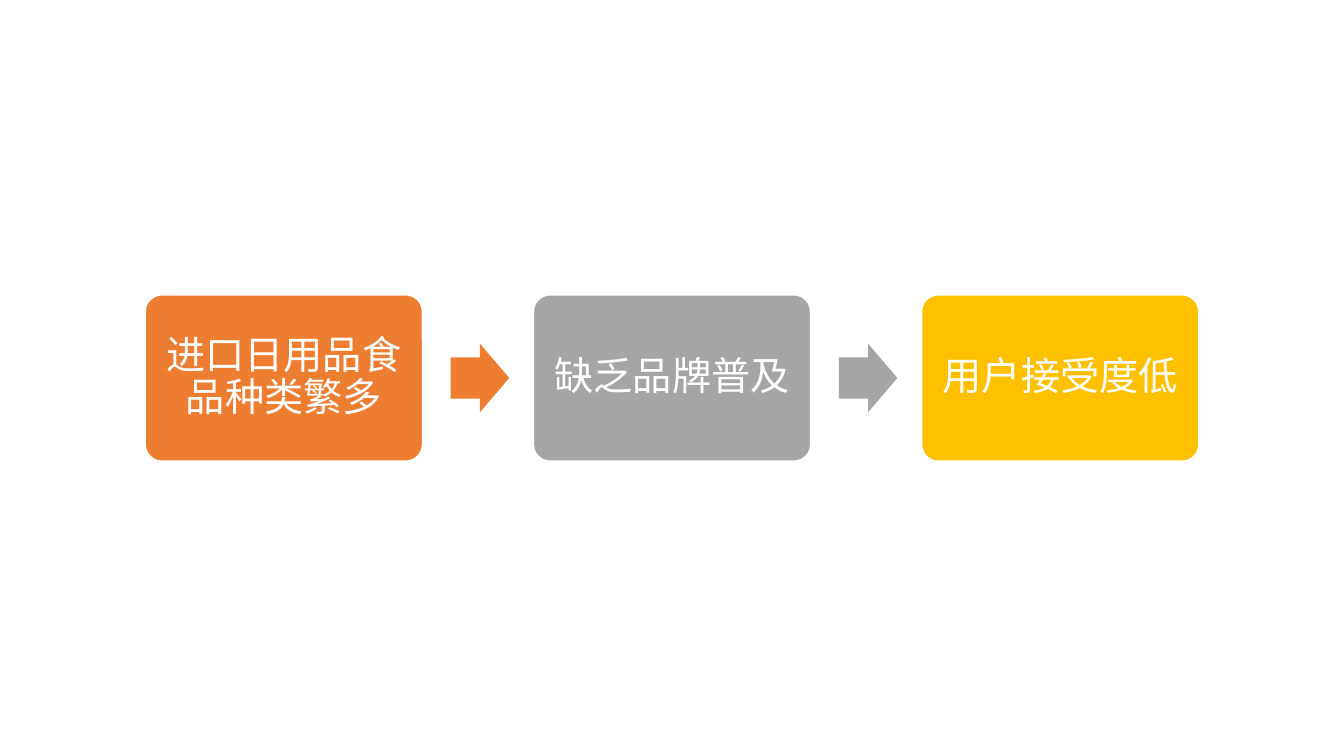
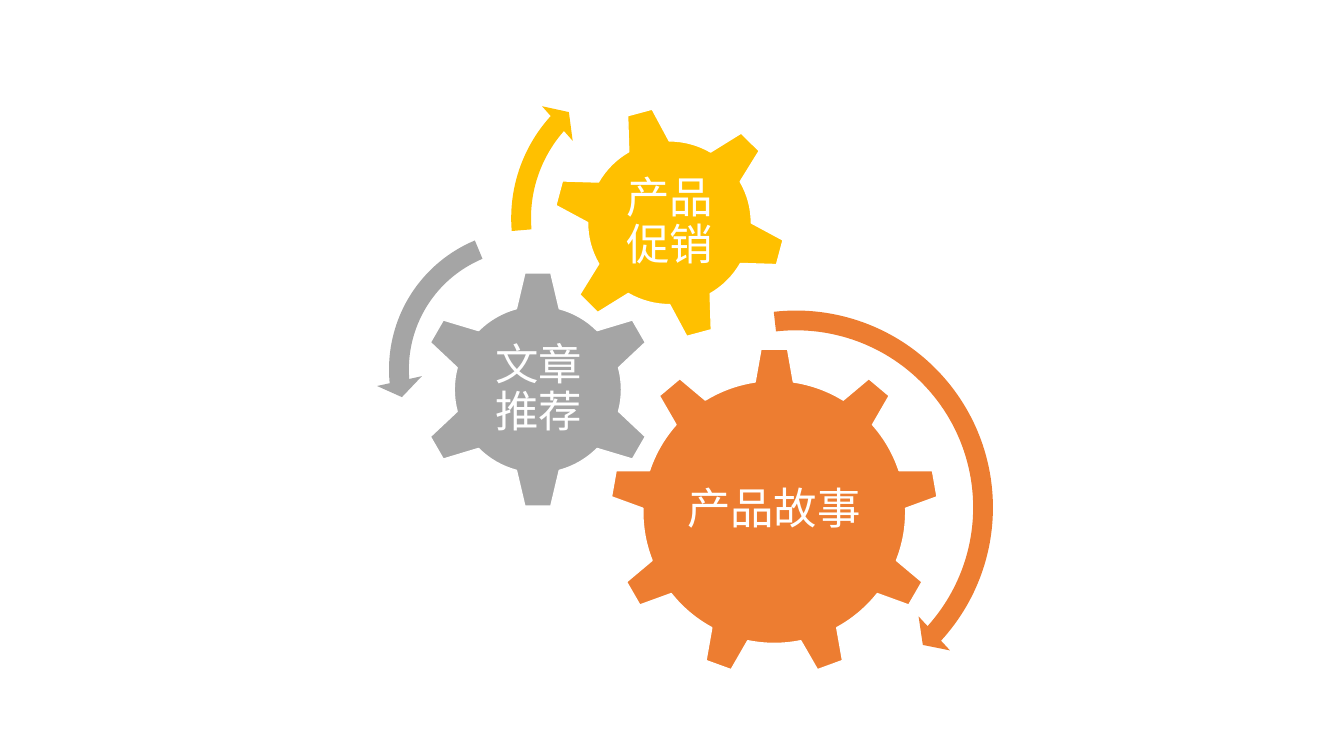
"""Builds a two-slide deck: a three-step flow and a set of three gears."""
from lxml import etree
from pptx import Presentation
from pptx.dml.color import RGBColor
from pptx.enum.shapes import MSO_SHAPE
from pptx.enum.text import MSO_ANCHOR, PP_ALIGN
from pptx.oxml.ns import qn
from pptx.util import Inches, Pt

ROUNDED = MSO_SHAPE.ROUNDED_RECTANGLE
RIGHT_ARROW = MSO_SHAPE.RIGHT_ARROW
GEAR_6, GEAR_9 = MSO_SHAPE.GEAR_6, MSO_SHAPE.GEAR_9
CLOCKWISE = MSO_SHAPE.CIRCULAR_ARROW
COUNTERCLOCKWISE = MSO_SHAPE.LEFT_CIRCULAR_ARROW
MIDDLE, CENTER = MSO_ANCHOR.MIDDLE, PP_ALIGN.CENTER

FONT = "Noto Sans CJK SC"
COLORS = {"orange": "ED7D31", "gray": "A5A5A5", "gold": "FFC000", "white": "FFFFFF"}
BLANK_LAYOUT = 6

STEPS = [
    ("进口日用品食品种类繁多", "orange"),
    ("缺乏品牌普及", "gray"),
    ("用户接受度低", "gold"),
]
STEP_LEFT, STEP_PITCH = 1.44, 3.85
STEP_WIDTH, STEP_HEIGHT = 2.75, 1.65
ARROW_WIDTH, ARROW_HEIGHT, ARROW_GAP = 0.58, 0.68, 0.28
FLOW_MIDDLE = 3.75

GEARS = [
    {"text": "产品故事", "color": "orange", "kind": GEAR_9, "rotation": 0,
     "box": (6.05, 3.45, 3.26, 3.26), "label": (6.7, 4.22, 1.95, 1.68)},
    {"text": "文章推荐", "color": "gray", "kind": GEAR_6, "rotation": 0,
     "box": (4.15, 2.68, 2.37, 2.37), "label": (4.75, 3.28, 1.18, 1.17)},
    {"text": "产品促销", "color": "gold", "kind": GEAR_6, "rotation": 345,
     "box": (5.48, 1.05, 2.32, 2.32), "label": (5.99, 1.56, 1.3, 1.3)},
]
TURNS = [
    {"color": "orange", "kind": CLOCKWISE, "box": (5.81, 2.95, 4.17, 4.17),
     "adjustments": (0.047, 2.99, 25.393, 158.123, 0.055)},
    {"color": "gray", "kind": COUNTERCLOCKWISE, "box": (3.73, 2.15, 3.03, 3.03),
     "adjustments": (0.065, 4.3, 104.891, 148.378, 0.075)},
    {"color": "gold", "kind": CLOCKWISE, "box": (4.94, 0.53, 3.27, 3.27),
     "adjustments": (0.06, 3.941, 133.138, 105.082, 0.07)},
]


def rgb(color):
    return RGBColor.from_string(COLORS[color])


def write_text(shape, text, *, size, inset, color="white"):
    frame = shape.text_frame
    frame.word_wrap = True
    frame.vertical_anchor = MIDDLE
    frame.margin_left = frame.margin_right = Inches(inset)
    frame.margin_top = frame.margin_bottom = Inches(inset)
    paragraph = frame.paragraphs[0]
    paragraph.alignment = CENTER
    paragraph.line_spacing = 0.9
    run = paragraph.add_run()
    run.text = text
    run.font.size = Pt(size)
    run.font.color.rgb = rgb(color)
    run.font.name = FONT
    east_asian = etree.Element(qn("a:ea"), typeface=FONT)
    run.font._element.find(qn("a:latin")).addnext(east_asian)


def add_figure(slide, kind, box, color, *, adjustments=(), outlined=False, rotation=0):
    shape = slide.shapes.add_shape(kind, *map(Inches, box))
    shape.shadow.inherit = False
    shape.rotation = rotation
    shape.fill.solid()
    shape.fill.fore_color.rgb = rgb(color)
    if outlined:
        shape.line.color.rgb = rgb("white")
        shape.line.width = Pt(1)
    else:
        shape.line.fill.background()
    for index, value in enumerate(adjustments):
        shape.adjustments[index] = value
    return shape


def build_flow(slide):
    for index, (text, color) in enumerate(STEPS):
        left = STEP_LEFT + index * STEP_PITCH
        box = (left, FLOW_MIDDLE - STEP_HEIGHT / 2, STEP_WIDTH, STEP_HEIGHT)
        step = add_figure(slide, ROUNDED, box, color, adjustments=(0.1,), outlined=True)
        write_text(step, text, size=28, inset=0.12)
        if index < len(STEPS) - 1:
            arrow_box = (left + STEP_WIDTH + ARROW_GAP, FLOW_MIDDLE - ARROW_HEIGHT / 2,
                         ARROW_WIDTH, ARROW_HEIGHT)
            add_figure(slide, RIGHT_ARROW, arrow_box, color, adjustments=(0.6, 0.5))


def build_gears(slide):
    for gear in GEARS:
        add_figure(slide, gear["kind"], gear["box"], gear["color"],
                   outlined=True, rotation=gear["rotation"])
        label = slide.shapes.add_textbox(*map(Inches, gear["label"]))
        write_text(label, gear["text"], size=31, inset=0.04)
    for turn in TURNS:
        add_figure(slide, turn["kind"], turn["box"], turn["color"],
                   adjustments=turn["adjustments"])


def main():
    presentation = Presentation()
    presentation.slide_width = Inches(13.33)
    presentation.slide_height = Inches(7.5)
    for build in (build_flow, build_gears):
        build(presentation.slides.add_slide(presentation.slide_layouts[BLANK_LAYOUT]))
    presentation.save("out.pptx")


if __name__ == "__main__":
    main()
